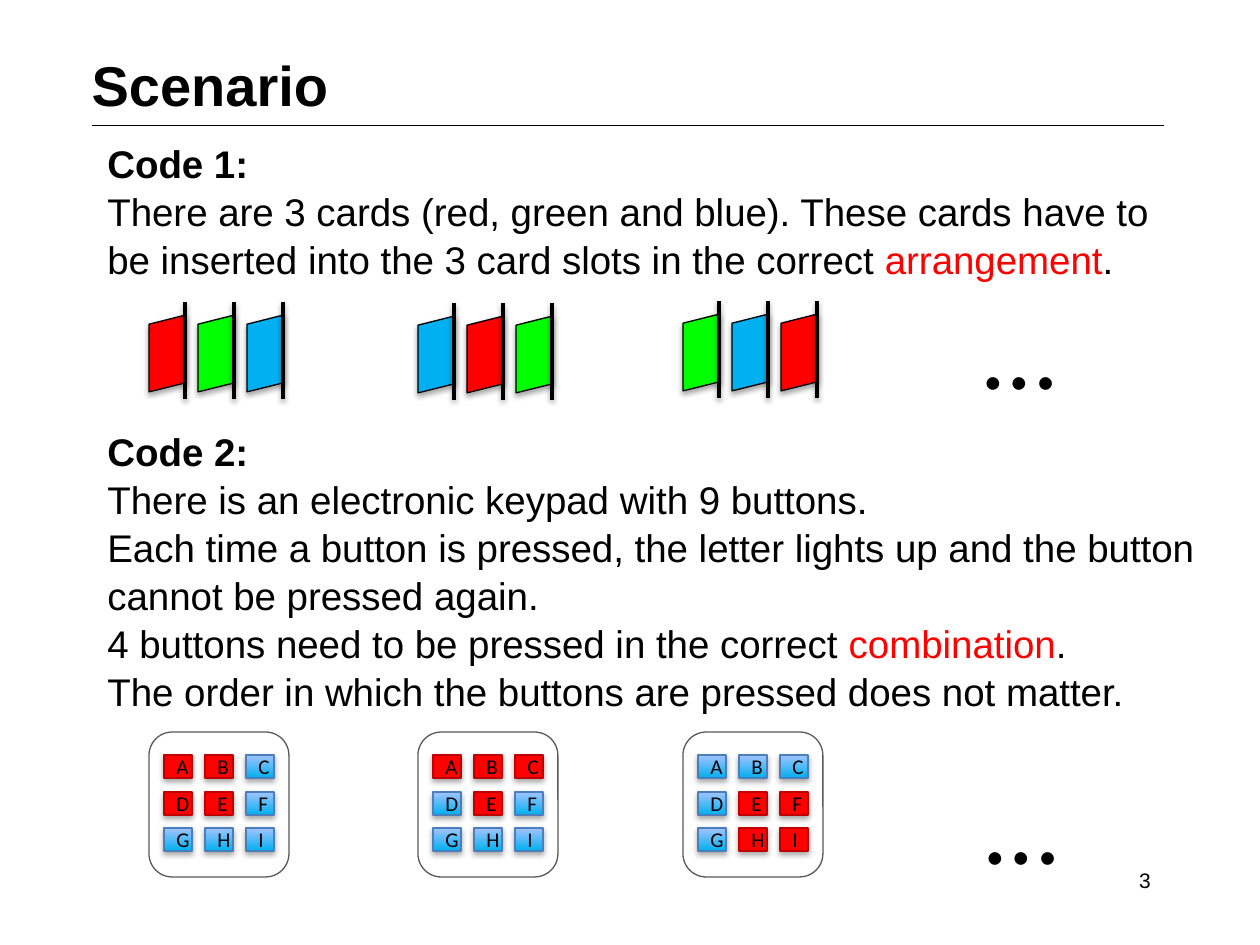
from pptx import Presentation
from pptx.dml.color import RGBColor as Rgb
from pptx.enum.shapes import MSO_CONNECTOR as Link, MSO_SHAPE as Form
from pptx.enum.text import MSO_ANCHOR as Anchor, MSO_AUTO_SIZE as Fit, PP_ALIGN as Align
from pptx.oxml.ns import qn
from pptx.util import Emu, Pt
from lxml.etree import SubElement

PX = 914400 / 126
HEX = {
    "black": "000000", "white": "FFFFFF", "red": "FF0000", "green": "00FF00",
    "blue": "00B0F0", "pale": "A4C4FF", "grey": "595959",
    "redrim": "C00000", "bluerim": "4B7EBC",
}
INK = {name: Rgb.from_string(code) for name, code in HEX.items()}


def write(frame, *lines, size=22, font="Arial", align=Align.LEFT, space=None,
          heads=0, wrap=True, anchor=Anchor.TOP):
    """Fill a frame; the first `heads` lines are bold, parts between bars are red."""
    frame.word_wrap = wrap
    frame.vertical_anchor = anchor
    for row, line in enumerate(lines):
        para = frame.add_paragraph() if row else frame.paragraphs[0]
        para.alignment = align
        para.line_spacing = space
        for part, text in enumerate(line.split("|")):
            run = para.add_run()
            run.text = text
            run.font.name = font
            run.font.size = Pt(size)
            run.font.bold = row < heads
            run.font.color.rgb = INK["red" if part % 2 else "black"]


def shade(item, alpha=0, drop=0):
    """Give a soft shadow straight below, or none when alpha is 0."""
    props = item._element.spPr
    effects = SubElement(props, qn("a:effectLst"))
    if alpha:
        cast = SubElement(effects, qn("a:outerShdw"), blurRad="40000",
                          dist=str(drop), dir="5400000", rotWithShape="0")
        tint = SubElement(cast, qn("a:srgbClr"), val=HEX["black"])
        SubElement(tint, qn("a:alpha"), val=str(alpha * 1000))


def box(*nums):
    return [Emu(round(num * PX)) for num in nums]


deck = Presentation()
deck.slide_width, deck.slide_height = box(1260, 945)
slide = deck.slides.add_slide(deck.slide_layouts[5])
shapes = slide.shapes

# Title and rule
title = shapes.title
title.left, title.top, title.width, title.height = box(79, 40, 743, 96)
write(title.text_frame, "Scenario", size=32, heads=1, space=0.9, anchor=Anchor.MIDDLE)
rule = shapes.add_connector(Link.STRAIGHT, *box(92, 125, 1164, 125))
rule.line.color.rgb = INK["black"]
rule.line.width = Pt(0.25)
shade(rule)

# The two codes
first = shapes.add_textbox(*box(95, 132, 1071, 213))
write(first.text_frame, "Code 1:",
      "There are 3 cards (red, green and blue). These cards have to be inserted "
      "into the 3 card slots in the correct |arrangement|.",
      heads=1, space=1.04)
second = shapes.add_textbox(*box(95, 420, 1118, 195))
write(second.text_frame, "Code 2:",
      "There is an electronic keypad with 9 buttons.",
      "Each time a button is pressed, the letter lights up and the button "
      "cannot be pressed again.",
      "4 buttons need to be pressed in the correct |combination|.",
      "The order in which the buttons are pressed does not matter.",
      heads=1, space=1.04)

# Each case: left, top of cards, card colours, lit buttons
cases = [
    (149, 335, ("red", "green", "blue"), "ABDE"),
    (418, 336, ("blue", "red", "green"), "ABCE"),
    (683, 334, ("green", "blue", "red"), "EFHI"),
]
for left, top, cards, lit in cases:
    # Cards are drawn from right to left, each behind its slot
    for col in (2, 1, 0):
        x = left + 49 * col
        card = shapes.add_shape(Form.PARALLELOGRAM, *box(x - 20, top, 77, 37))
        card.rotation = 270
        card._element.spPr.xfrm.set("flipV", "1")
        card.fill.solid()
        card.fill.fore_color.rgb = INK[cards[col]]
        card.line.color.rgb = INK["black"]
        card.line.width = Pt(0.75)
        shade(card, 35, 23000)
        slot = shapes.add_connector(Link.STRAIGHT, *box(x + 36, top - 33, x + 36, top + 64))
        slot.line.color.rgb = INK["black"]
        slot.line.width = Pt(2)
        shade(slot, 38, 20000)

    pad = shapes.add_shape(Form.ROUNDED_RECTANGLE, *box(left, 732, 140, 145))
    pad.fill.solid()
    pad.fill.fore_color.rgb = INK["white"]
    pad.line.color.rgb = INK["grey"]
    pad.line.width = Pt(0.75)
    shade(pad)
    for spot, key in enumerate("ABCDEFGHI"):
        row, col = divmod(spot, 3)
        y = (755, 792, 828)[row]
        button = shapes.add_shape(Form.RECTANGLE, *box(left + 15 + 41 * col, y, 28, 23))
        if key in lit:
            button.fill.solid()
            button.fill.fore_color.rgb = INK["red"]
        else:
            button.fill.gradient()
            button.fill.gradient_angle = 90
            for stop, name in zip(button.fill.gradient_stops, ("blue", "pale")):
                stop.color.rgb = INK[name]
        button.line.color.rgb = INK["redrim" if key in lit else "bluerim"]
        button.line.width = Pt(0.75)
        shade(button, 35, 23000)
        write(button.text_frame, key, size=12, font="Calibri",
              align=Align.CENTER, anchor=Anchor.MIDDLE)

# Signs that more cases follow
for x, y in ((948, 278), (950, 753)):
    more = shapes.add_textbox(*box(x, y, 144, 140))
    write(more.text_frame, "…", size=60, font="Calibri", align=Align.CENTER, wrap=False)
    more.text_frame.auto_size = Fit.SHAPE_TO_FIT_TEXT

number = shapes.add_textbox(*box(869, 861, 294, 50))
write(number.text_frame, "3", size=12, align=Align.RIGHT)

deck.save("out.pptx")
